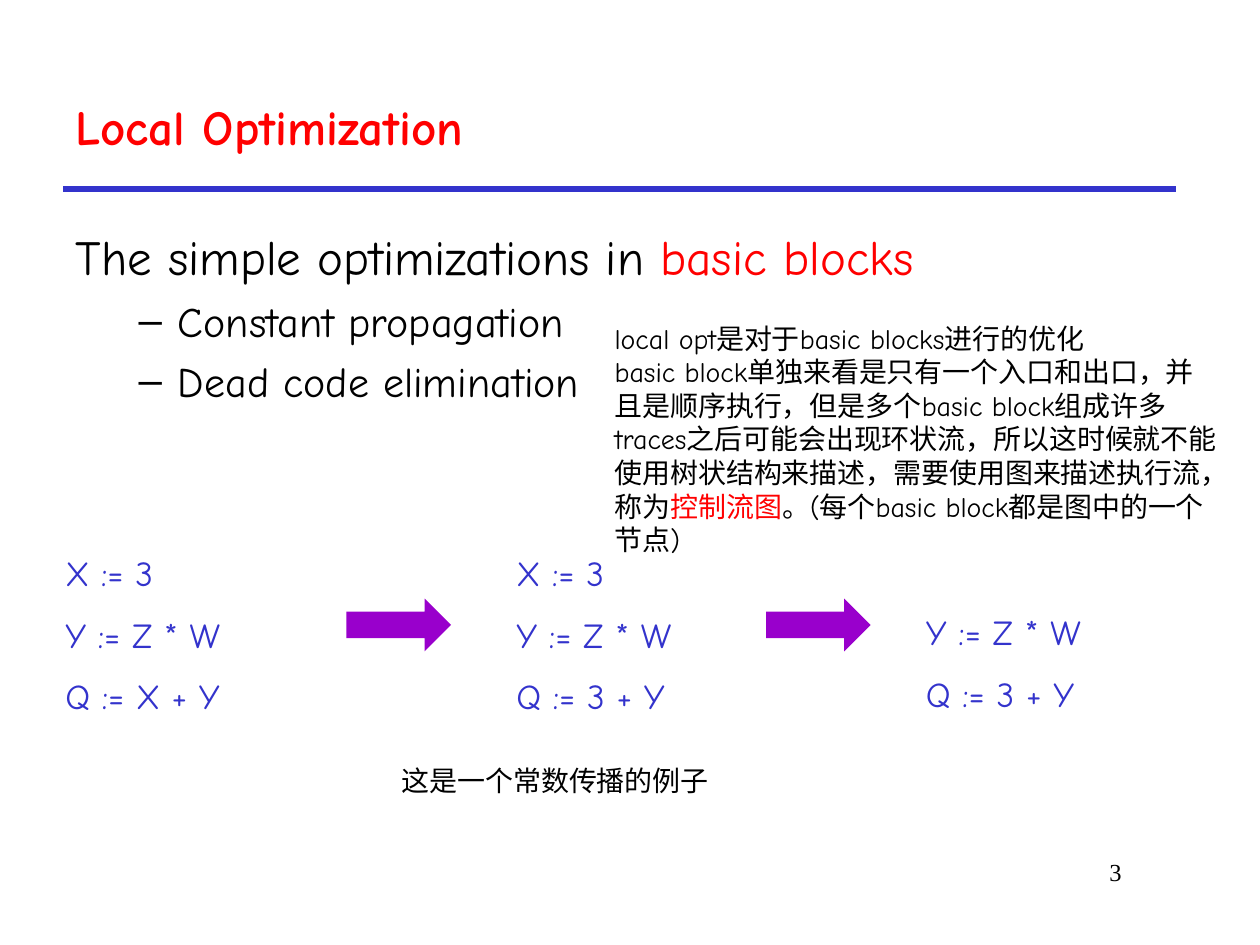
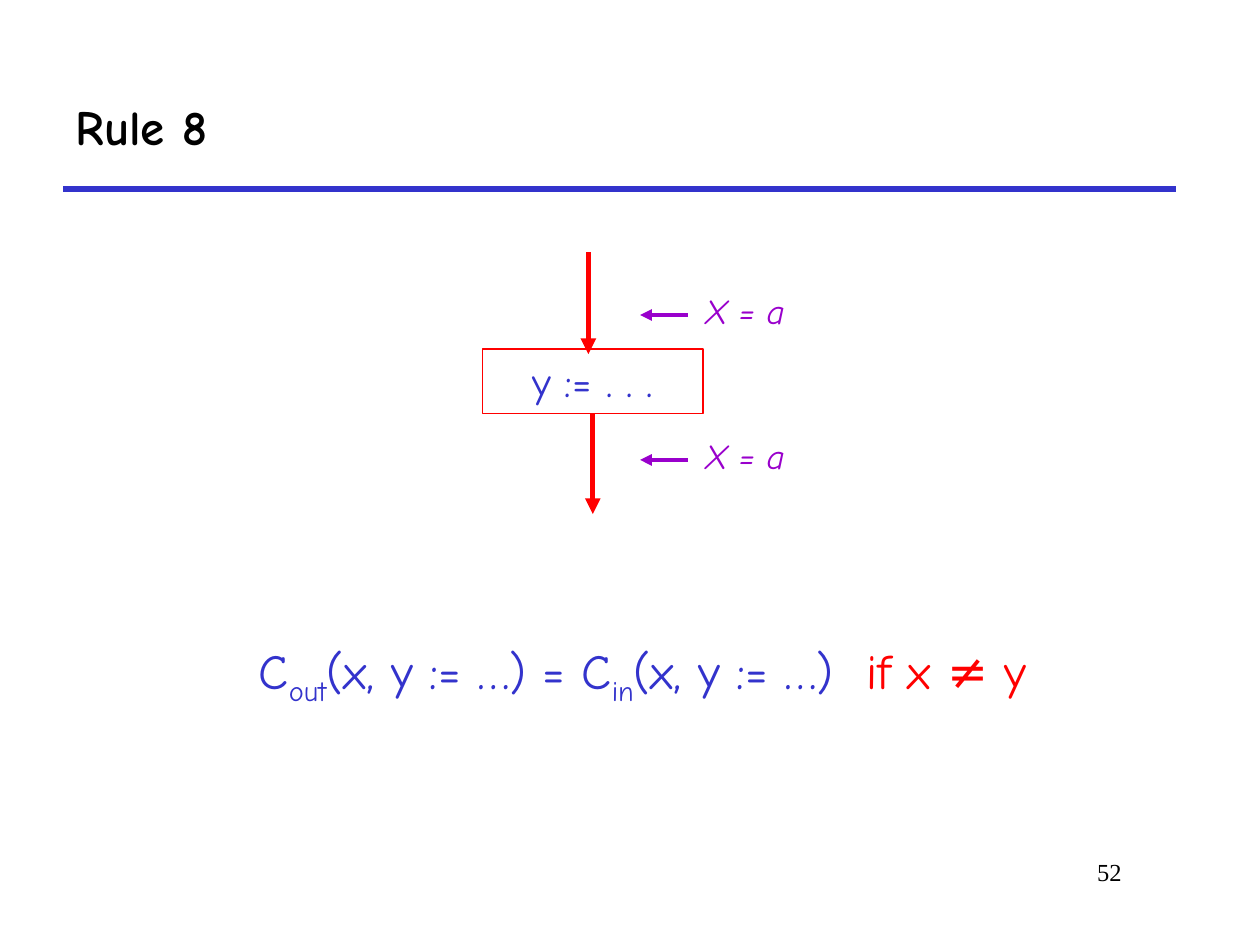
from dataclasses import dataclass

from pptx import Presentation
from pptx.dml.color import RGBColor
from pptx.enum.shapes import MSO_CONNECTOR, MSO_SHAPE
from pptx.enum.text import MSO_ANCHOR, MSO_AUTO_SIZE, PP_ALIGN
from pptx.oxml.ns import qn
from pptx.util import Inches, Pt
from lxml.etree import SubElement

BLACK = RGBColor(0x00, 0x00, 0x00)
RED = RGBColor(0xFF, 0x00, 0x00)
BLUE = RGBColor(0x33, 0x33, 0xCC)
PURPLE = RGBColor(0x99, 0x00, 0xCC)
FONT = "Comic Neue"
NUMBER_FONT = "Times New Roman"
CODE_TOP = 4.33
CODE_STEP = 0.47


@dataclass
class CodeStage:
    left: float
    lines: list[str]
    first_row: int = 0


@dataclass
class Span:
    text: str
    color: RGBColor
    subscript: bool = False


STAGES = [
    CodeStage(0.42, ["X := 3", "Y := Z * W", "Q := X + Y"]),
    CodeStage(4, ["X := 3", "Y := Z * W", "Q := 3 + Y"]),
    CodeStage(7.25, ["Y := Z * W", "Q := 3 + Y"], first_row=1),
]
STAGE_ARROW_LEFTS = [2.75, 6.08]
FACT_TOPS = [2.25, 3.4]


def write(p, content, size, color=BLACK, font=FONT, bold=False, italic=False,
          align=PP_ALIGN.LEFT, before=0.0):
    """Fill a paragraph with a string or a list of spans."""
    p.alignment = align
    p.space_before = Pt(before)
    spans = [Span(content, color)] if isinstance(content, str) else content
    for span in spans:
        r = p.add_run()
        r.text = span.text
        r.font.name = font
        r.font.size = Pt(size)
        r.font.bold = bold
        r.font.italic = italic
        r.font.color.rgb = span.color
        if span.subscript:
            r.font._element.set("baseline", "-25000")


def write_all(tf, contents, size, before=0.0, **fmt):
    """Write one paragraph per item, spaced apart from the second on."""
    for i, content in enumerate(contents):
        p = tf.add_paragraph() if i else tf.paragraphs[0]
        write(p, content, size, before=before if i else 0, **fmt)


def add_text(s, left, top, width, height, contents, size, **fmt):
    box = s.shapes.add_textbox(Inches(left), Inches(top), Inches(width), Inches(height))
    box.text_frame.word_wrap = True
    write_all(box.text_frame, contents, size, **fmt)


def add_line(s, start: tuple[float, float], end: tuple[float, float],
             color: RGBColor, width: float, arrow: bool = True):
    points = [Inches(v) for v in (*start, *end)]
    line = s.shapes.add_connector(MSO_CONNECTOR.STRAIGHT, *points)
    line.line.color.rgb = color
    line.line.width = Pt(width)
    if arrow:
        SubElement(line.line._get_or_add_ln(), qn("a:tailEnd"), type="triangle")
    SubElement(line._element.spPr, qn("a:effectLst"))
    return line


def place(sp, left: float, top: float, width: float, height: float):
    sp.left, sp.top = Inches(left), Inches(top)
    sp.width, sp.height = Inches(width), Inches(height)
    sp.text_frame.auto_size = MSO_AUTO_SIZE.NONE
    return sp.text_frame


def without_bullet(p):
    SubElement(p._p.get_or_add_pPr(), qn("a:buNone"))


def add_base_slide(prs, title: str, number: int, title_color: RGBColor = BLACK):
    """Add a slide with the title, the rule under it and the page number."""
    s = prs.slides.add_slide(prs.slide_layouts[1])
    add_line(s, (0.5, 1.5), (9.33, 1.5), BLUE, 3, arrow=False)
    tf = place(s.shapes.title, 0.5, 0.5, 8.83, 1)
    tf.vertical_anchor = MSO_ANCHOR.MIDDLE
    write(tf.paragraphs[0], title, 28, title_color, bold=True)
    add_text(s, 6.92, 6.75, 2.08, 0.5, [str(number)], 14,
             font=NUMBER_FONT, align=PP_ALIGN.RIGHT)
    return s


def add_stage_arrow(s, left: float):
    arrow = s.shapes.add_shape(MSO_SHAPE.RIGHT_ARROW, Inches(left), Inches(4.75),
                               Inches(0.83), Inches(0.42))
    arrow.shadow.inherit = False
    arrow.fill.solid()
    arrow.fill.fore_color.rgb = PURPLE
    arrow.line.fill.background()


def add_fact(s, top: float):
    """Label a program point with X = a and a small arrow."""
    add_text(s, 5.5, top, 1.33, 0.43, ["X = a"], 20, color=PURPLE, italic=True)
    add_line(s, (5.46, top + 0.25), (5.08, top + 0.25), PURPLE, 2.25)


def build_local_optimization(prs):
    s = add_base_slide(prs, "Local Optimization", 3, RED)
    tf = place(s.placeholders[1], 0.5, 1.75, 9.08, 1.92)
    without_bullet(tf.paragraphs[0])
    write(tf.paragraphs[0], [Span("The simple optimizations in ", BLACK),
                             Span("basic blocks", RED)], 28)
    for item in ("Constant propagation", "Dead code elimination"):
        p = tf.add_paragraph()
        p.level = 1
        write(p, item, 24, before=5.5)

    for stage in STAGES:
        add_text(s, stage.left, CODE_TOP + stage.first_row * CODE_STEP, 1.92,
                 len(stage.lines) * CODE_STEP, stage.lines, 20, color=BLUE, before=11)
    for left in STAGE_ARROW_LEFTS:
        add_stage_arrow(s, left)

    add_text(s, 4.78, 2.5, 5, 1.98, [
        "local opt是对于basic blocks进行的优化",
        [Span("basic block单独来看是只有一个入口和出口，并且是顺序执行，"
              "但是多个basic block组成许多traces之后可能会出现环状流，"
              "所以这时候就不能使用树状结构来描述，需要使用图来描述执行流，称为", BLACK),
         Span("控制流图", RED),
         Span("。(每个basic block都是图中的一个节点)", BLACK)],
    ], 16)
    add_text(s, 3.09, 6.01, 3.33, 0.37, ["这是一个常数传播的例子"], 16)


def build_rule_8(prs):
    s = add_base_slide(prs, "Rule 8", 52)
    tf = place(s.placeholders[1], 0.56, 5.03, 9.08, 1.55)
    p = tf.paragraphs[0]
    pPr = p._p.get_or_add_pPr()
    pPr.set("marL", "0")
    pPr.set("indent", "0")
    without_bullet(p)
    write(p, [
        Span("C", BLUE), Span("out", BLUE, subscript=True),
        Span("(x, y := …) = C", BLUE), Span("in", BLUE, subscript=True),
        Span("(x, y := …)  ", BLUE), Span("if x ≠ y", RED),
    ], 28, align=PP_ALIGN.CENTER)

    box = s.shapes.add_shape(MSO_SHAPE.RECTANGLE, Inches(3.83), Inches(2.77),
                             Inches(1.75), Inches(0.51))
    box.shadow.inherit = False
    box.fill.background()
    box.line.color.rgb = RED
    box.line.width = Pt(0.75)
    box.text_frame.vertical_anchor = MSO_ANCHOR.TOP
    write(box.text_frame.paragraphs[0], "y := . . .", 24, BLUE, align=PP_ALIGN.CENTER)

    add_line(s, (4.67, 2), (4.67, 2.81), RED, 3)
    exit_arrow = add_line(s, (4.71, 3.28), (4.71, 4.08), RED, 3)
    exit_arrow.begin_connect(box, 2)
    exit_arrow.end_x = exit_arrow.begin_x
    for top in FACT_TOPS:
        add_fact(s, top)


def main():
    prs = Presentation()
    prs.slide_width, prs.slide_height = Inches(10), Inches(7.5)
    build_local_optimization(prs)
    build_rule_8(prs)
    prs.save("out.pptx")


if __name__ == "__main__":
    main()
